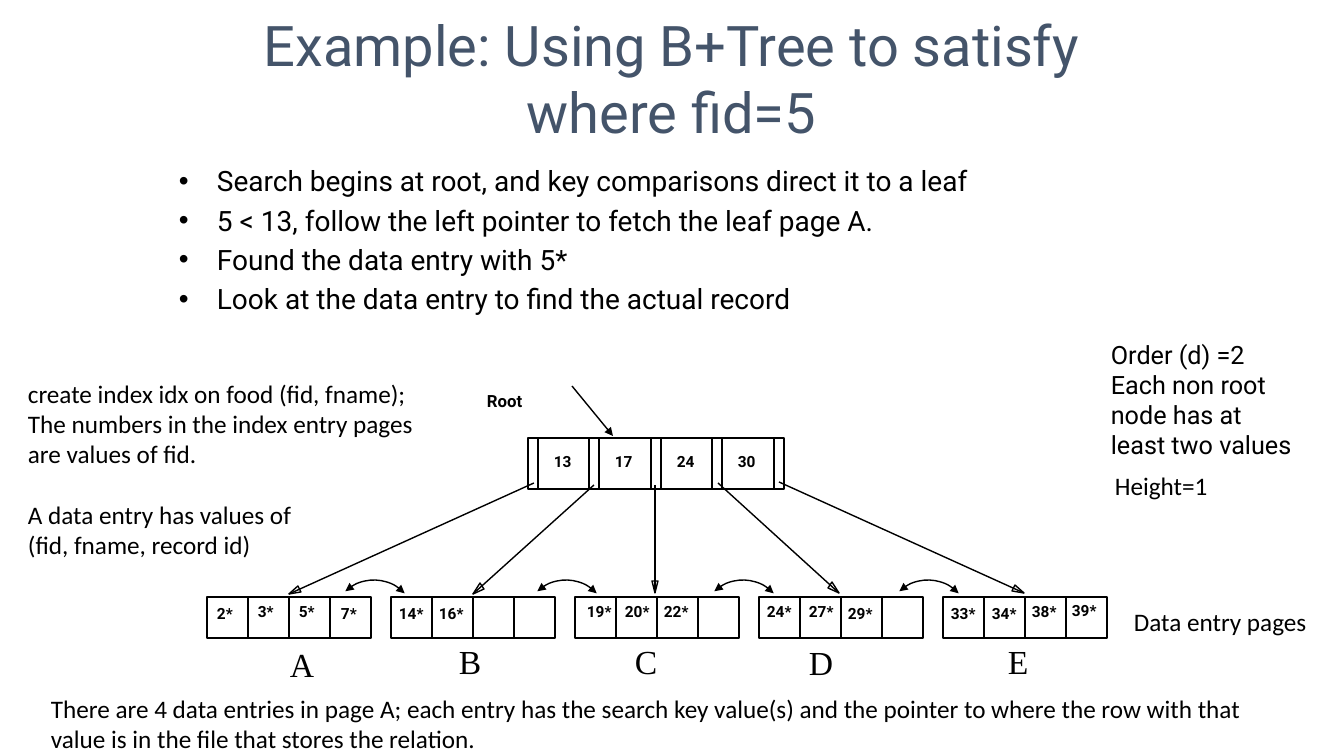
from math import hypot
from lxml import etree
from pptx import Presentation
from pptx.dml.color import RGBColor
from pptx.enum.shapes import MSO_CONNECTOR, MSO_SHAPE
from pptx.enum.text import MSO_ANCHOR, PP_ALIGN
from pptx.oxml.ns import qn
from pptx.util import Pt

RECT, ARC = MSO_SHAPE.RECTANGLE, MSO_SHAPE.ARC
LINE = MSO_CONNECTOR.STRAIGHT
CENTER = PP_ALIGN.CENTER
TOP, MIDDLE = MSO_ANCHOR.TOP, MSO_ANCHOR.MIDDLE
UNIT = 914400 / 100.8
COLORS = {"ink": "000000", "title": "44546A"}

# Text formats
HEAD = {"name": "Roboto", "size": Pt(40), "bold": False}
BODY = {"name": "Roboto", "size": Pt(20)}
SIDE = {"name": "Roboto", "size": Pt(18)}
NOTE = {"name": "Calibri", "size": Pt(18)}
NAME = {"name": "Times New Roman", "size": Pt(24)}
ROOT = {"name": "Roboto", "size": Pt(12), "bold": True}
KEY = {"name": "Roboto", "size": Pt(11), "bold": True}

# Leaf pages: name, its offset, then each key with its offset in the page
PAGES = [
    ("A", 73, 42, [("2*", 0, 2), ("3*", 41, 0), ("5*", 82, 0), ("7*", 124, 2)]),
    ("B", 58, 39, [("14*", -2, 2), ("16*", 38, 2)]),
    ("C", 50, 39, [("19*", 2, 0), ("20*", 40, 0), ("22*", 79, 0)]),
    ("D", 40, 40, [("24*", -2, 0), ("27*", 40, 0), ("29*", 79, 2)]),
    ("E", 55, 39, [("33*", -2, 2), ("34*", 39, 2), ("38*", 79, 0), ("39*", 119, -1)]),
]
# Child pointers from root to leaf, relative to the root's corner
CHILDREN = [((6, 45), (-239, 156)), ((66, 47), (-55, 156)),
            ((127, 47), (127, 155)), ((190, 45), (311, 155)),
            ((251, 44), (496, 155))]
LINKS = [374, 566, 743, 928]


def emu(*values):
    return [round(v * UNIT) for v in values]


def ink(name):
    return RGBColor.from_string(COLORS[name])


def outline(shape, head=False, tail=False):
    shape.line.color.rgb = ink("ink")
    shape.line.width = Pt(1)
    for end, on in (("headEnd", head), ("tailEnd", tail)):
        if on:
            etree.SubElement(shape.line._get_or_add_ln(), qn("a:" + end), type="triangle")


def hollow(shape, **ends):
    shape.shadow.inherit = False
    shape.fill.background()
    outline(shape, **ends)


def rect(shapes, x, y, w, h):
    hollow(shapes.add_shape(RECT, *emu(x, y, w, h)))


def line(shapes, start, end, tail=False):
    rule = shapes.add_connector(LINE, *emu(*start, *end))
    outline(rule, tail=tail)
    etree.SubElement(rule._element.spPr, qn("a:effectLst"))


def write(frame, lines, style, color="ink", wrap=True, anchor=TOP):
    frame.word_wrap = wrap
    frame.vertical_anchor = anchor
    for i, words in enumerate(lines):
        para = frame.paragraphs[0] if i == 0 else frame.add_paragraph()
        run = para.add_run()
        run.text = words
        for attr, value in style.items():
            setattr(run.font, attr, value)
        run.font.color.rgb = ink(color)
    return frame.paragraphs


def text(shapes, box, lines, style, wrap=True):
    frame = shapes.add_textbox(*emu(*box)).text_frame
    return write(frame, lines, style, wrap=wrap)


def heading(slide, box):
    title = slide.shapes.title
    title.left, title.top, title.width, title.height = emu(*box)
    lines = ["Example: Using B+Tree to satisfy", "where fid=5"]
    for para in write(title.text_frame, lines, HEAD, "title", anchor=MIDDLE):
        para.alignment = CENTER
        para.line_spacing = 1.0


def steps(shapes, box):
    lines = ["Search begins at root, and key comparisons direct it to a leaf",
             "5 < 13, follow the left pointer to fetch the leaf page A.",
             "Found the data entry with 5*",
             "Look at the data entry to find the actual record"]
    indent = emu(38)[0]
    for para in text(shapes, box, lines, BODY):
        para.space_before = Pt(4)
        props = para._p.get_or_add_pPr()
        props.set("marL", str(indent))
        props.set("indent", str(-indent))
        etree.SubElement(props, qn("a:buFont"), typeface="Arial")
        etree.SubElement(props, qn("a:buChar"), char="•")


def pointer(shapes, start, end):
    """Line with a hollow arrowhead at its end."""
    line(shapes, start, end)
    (x1, y1), (x2, y2) = start, end
    size = hypot(x2 - x1, y2 - y1)
    dx, dy = (x2 - x1) / size, (y2 - y1) / size
    bx, by = x2 - 12 * dx, y2 - 12 * dy
    sides = [(bx - s * dy, by + s * dx) for s in (3.5, -3.5)]
    path = shapes.build_freeform(*end, scale=UNIT)
    path.add_line_segments(sides, close=True)
    hollow(path.convert_to_shape())


def root(shapes, box):
    x, y, w, h = box
    slim = 10
    edges = [x + (w - slim) * i // 4 for i in range(5)]
    for left, right, key in zip(edges, edges[1:], ["13", "17", "24", "30"]):
        rect(shapes, left, y, right - left, h)
        line(shapes, (left + slim, y), (left + slim, y + h))
        text(shapes, (left + 16, y + 9, 38, 28), [key], KEY, wrap=False)
    rect(shapes, edges[-1], y, slim, h)
    for (x1, y1), (x2, y2) in CHILDREN:
        pointer(shapes, (x + x1, y + y1), (x + x2, y + y2))
    text(shapes, (x - 51, y - 52, 56, 30), ["Root"], ROOT, wrap=False)
    line(shapes, (x + 44, y - 52), (x + 85, y - 2), tail=True)


def leaf(shapes, box, page):
    x, y, w, h = box
    name, nx, ny, keys = page
    cell = w // 4
    for i in range(4):
        rect(shapes, x + cell * i, y, cell, h)
    for key, dx, dy in keys:
        text(shapes, (x + dx, y + dy, 45 if len(key) > 2 else 36, 28), [key], KEY, wrap=False)
    text(shapes, (x + nx, y + ny, 44, 50), [name], NAME, wrap=False)


def leaves(shapes, box):
    x, y, w, h = box
    pitch = 184
    for i, page in enumerate(PAGES):
        leaf(shapes, (x + pitch * i, y, w - pitch * (len(PAGES) - 1), h), page)
    # Curved links between neighbours
    reach = 42
    for mid in LINKS:
        arc = shapes.add_shape(ARC, *emu(mid - reach, y + 25 - reach, 2 * reach, 2 * reach))
        arc.rotation = 317
        hollow(arc, head=True, tail=True)


def notes(shapes):
    text(shapes, (1105, 465, 114, 40), ["Height=1"], NOTE, wrap=False)
    text(shapes, (1101, 334, 207, 132),
         ["Order (d) =2", "Each non root node has at least two values"], SIDE)
    text(shapes, (41, 688, 1261, 72),
         ["There are 4 data entries in page A; each entry has the search key value(s) "
          "and the pointer to where the row with that value is in the file that "
          "stores the relation."], NOTE)
    index = text(shapes, (18, 373, 412, 194),
                 ["create index idx on food (fid, fname);",
                  "The numbers in the index entry pages are values of fid.",
                  "A data entry has values of", "(fid, fname, record id)"], NOTE)
    index[2].space_before = Pt(22)
    text(shapes, (1124, 601, 195, 40), ["Data entry pages"], NOTE, wrap=False)


deck = Presentation()
deck.slide_width, deck.slide_height = emu(1344, 756)
slide = deck.slides.add_slide(deck.slide_layouts[5])
heading(slide, (41, 17, 1261, 122))
steps(slide.shapes, (169, 159, 1015, 188))
root(slide.shapes, (528, 438, 256, 51))
leaves(slide.shapes, (207, 597, 900, 41))
notes(slide.shapes)
deck.save("out.pptx")
